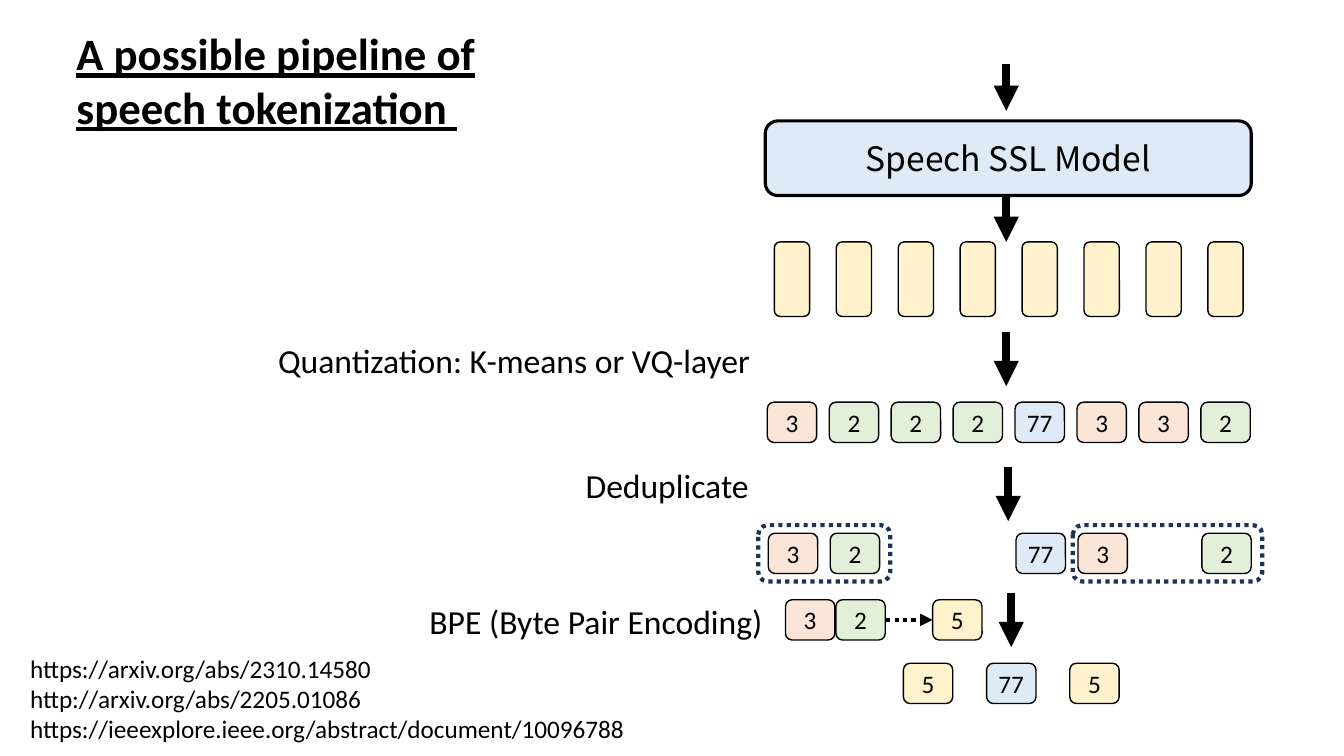
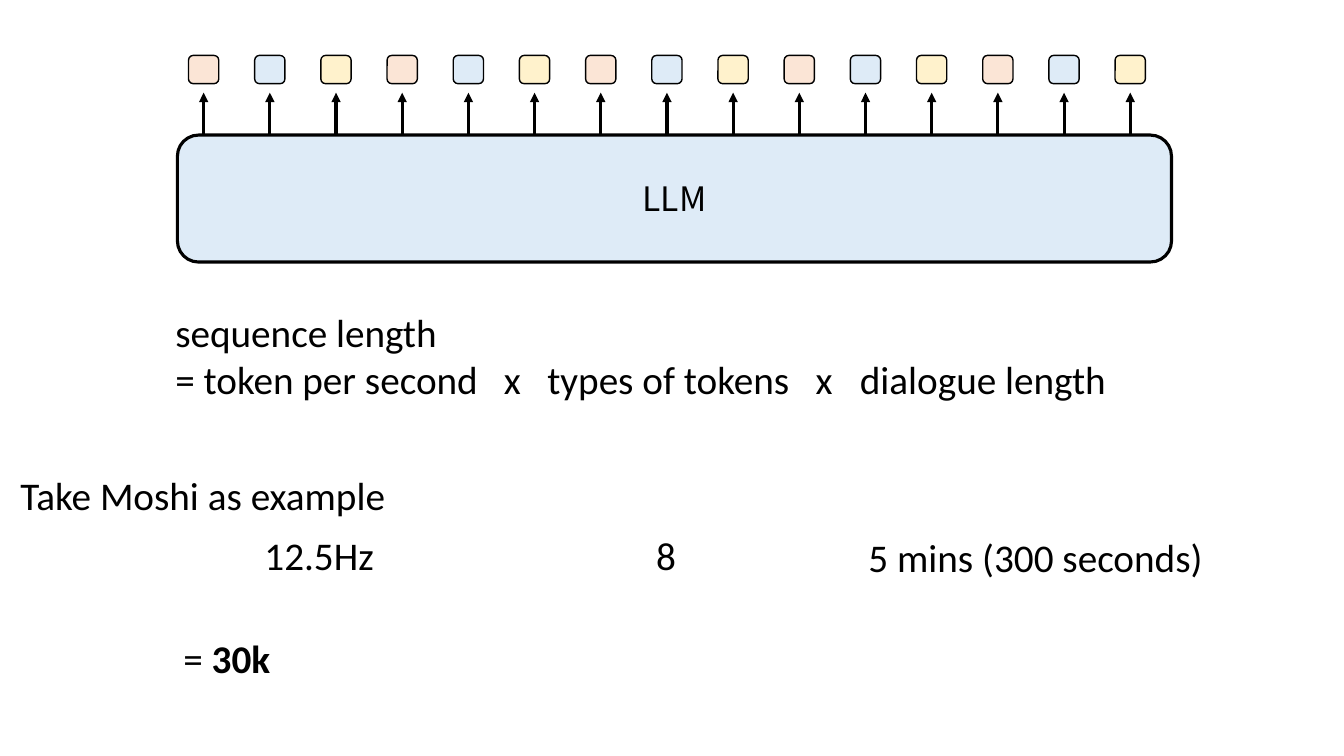
"""Build two slides on speech tokenization and sequence length."""
from dataclasses import dataclass

from lxml import etree
from pptx import Presentation
from pptx import util as u
from pptx.dml.color import RGBColor
from pptx.enum import dml, shapes, text
from pptx.oxml.ns import qn

LEFT, CENTER, RIGHT = text.PP_ALIGN.LEFT, text.PP_ALIGN.CENTER, text.PP_ALIGN.RIGHT


@dataclass(frozen=True)
class Theme:
    ink: str = "000000"
    navy: str = "1E3256"
    blue: str = "DEEBF7"
    orange: str = "FBE5D6"
    green: str = "E2F0D9"
    yellow: str = "FFF2CC"
    font: str = "Calibri"
    model_font: str = "Noto Sans CJK SC"
    title: int = 32
    formula: int = 28
    label: int = 24
    small: int = 18
    thin: float = 1
    medium: float = 2.25
    dotted: float = 3
    heavy: float = 6


T = Theme()
TOKEN_FILLS = {"3": T.orange, "2": T.green, "77": T.blue, "5": T.yellow}


def write(p, words, size=T.label, font=T.font, bold=False, underline=False):
    r = p.add_run()
    r.text = words
    r.font.size = u.Pt(size)
    r.font.name = font
    r.font.bold = bold
    r.font.underline = underline
    r.font.color.rgb = RGBColor.from_string(T.ink)


class Deck:
    def __init__(self):
        self.prs = Presentation()
        self.prs.slide_width = u.Inches(13.33)
        self.prs.slide_height = u.Inches(7.5)
        self.s = None

    def new_slide(self):
        self.s = self.prs.slides.add_slide(self.prs.slide_layouts[6])

    def label(self, x, y, w, h, *lines, align=LEFT, tabs=(), **style):
        sp = self.s.shapes.add_textbox(*map(u.Inches, (x, y, w, h)))
        tf = sp.text_frame
        tf.word_wrap = True
        tf.auto_size = text.MSO_AUTO_SIZE.SHAPE_TO_FIT_TEXT
        for i, line in enumerate(lines):
            p = tf.add_paragraph() if i else tf.paragraphs[0]
            p.alignment = align
            if "\t" in line:
                stops = etree.SubElement(p._p.get_or_add_pPr(), qn("a:tabLst"))
                for stop in tabs:
                    etree.SubElement(stops, qn("a:tab"), pos=str(u.Inches(stop)), algn="l")
            write(p, line, **style)
        return tf

    def stroke(self, line, color, width, dotted):
        line.color.rgb = RGBColor.from_string(color)
        line.width = u.Pt(width)
        if dotted:
            line.dash_style = dml.MSO_LINE.ROUND_DOT

    def box(self, x, y, w, h, fill=None, words="", line=T.ink, width=T.thin,
            dotted=False, **style):
        sp = self.s.shapes.add_shape(
            shapes.MSO_SHAPE.ROUNDED_RECTANGLE, *map(u.Inches, (x, y, w, h)))
        sp.shadow.inherit = False
        if fill:
            sp.fill.solid()
            sp.fill.fore_color.rgb = RGBColor.from_string(fill)
        else:
            sp.fill.background()
        self.stroke(sp.line, line, width, dotted)
        if words:
            tf = sp.text_frame
            tf.margin_left = tf.margin_right = 0
            tf.vertical_anchor = text.MSO_ANCHOR.MIDDLE
            p = tf.paragraphs[0]
            p.alignment = CENTER
            write(p, words, **style)

    def token(self, x, y, words):
        self.box(x, y, 0.49, 0.4, TOKEN_FILLS[words], words, size=T.small)

    def model(self, x, y, w, h, words):
        self.box(x, y, w, h, T.blue, words, width=T.medium, font=T.model_font)

    def arrow(self, x1, y1, x2, y2, width=T.heavy, dotted=False):
        c = self.s.shapes.add_connector(
            shapes.MSO_CONNECTOR.STRAIGHT, *map(u.Inches, (x1, y1, x2, y2)))
        self.stroke(c.line, T.ink, width, dotted)
        etree.SubElement(c.line._get_or_add_ln(), qn("a:tailEnd"), type="triangle")
        etree.SubElement(c._element.spPr, qn("a:effectLst"))


def pipeline_slide(deck):
    deck.new_slide()
    deck.label(0.66, 0.21, 4.21, 1.18, "A possible pipeline of speech tokenization ",
               size=T.title, bold=True, underline=True)
    deck.model(7.59, 1.2, 4.82, 0.74, "Speech SSL Model")
    deck.label(2.66, 3.32, 6.67, 0.5, "Quantization: K-means or VQ-layer")
    deck.label(5.71, 4.56, 2.02, 0.5, "Deduplicate")
    deck.label(3.4, 5.91, 4.26, 0.5, "BPE (Byte Pair Encoding)", align=RIGHT)

    step = 4.3 / 7
    for i, words in enumerate(("3", "2", "2", "2", "77", "3", "3", "2")):
        deck.box(7.68 + i * step, 2.4, 0.35, 0.74, T.yellow)
        deck.token(7.61 + i * step, 3.99, words)
    for i, words in ((0, "3"), (1, "2"), (4, "77"), (5, "3"), (7, "2")):
        deck.token(7.62 + i * step, 5.29, words)
    for x, words in ((7.79, "3"), (8.29, "2"), (9.25, "5")):
        deck.token(x, 5.95, words)
    for i, words in enumerate(("5", "77", "5")):
        deck.token(8.96 + i * 0.825, 6.58, words)

    for x, top, bottom in ((9.98, 0.64, 1.1), (9.98, 1.94, 2.4), (9.98, 3.29, 3.83),
                           (10, 4.63, 5.17), (10.03, 5.88, 6.42)):
        deck.arrow(x, top, x, bottom)
    deck.arrow(8.79, 6.15, 9.25, 6.15, T.dotted, dotted=True)
    for x, w in ((7.52, 1.31), (10.64, 1.88)):
        deck.box(x, 5.21, w, 0.56, line=T.navy, width=T.dotted, dotted=True)

    deck.label(0.2, 6.43, 6.67, 1.01,
               "https://arxiv.org/abs/2310.14580",
               "http://arxiv.org/abs/2205.01086",
               "https://ieeexplore.ieee.org/abstract/document/10096788",
               size=T.small)


def length_slide(deck):
    deck.new_slide()
    step = 9.19 / 14
    fills = (T.orange, T.blue, T.yellow)
    for i in range(15):
        x = 1.87 + i * step
        deck.box(x, 0.55, 0.3, 0.28, fills[i % 3])
        deck.arrow(x + 0.15, 1.34, x + 0.15, 0.92, T.medium)
    deck.model(1.76, 1.34, 9.86, 1.26, "LLM")

    deck.label(1.64, 3.01, 10.29, 1.04, "sequence length",
               "= token per second\tx\ttypes of tokens\tx\tdialogue length",
               tabs=(3.26, 3.69, 6.35, 6.79), size=T.formula)
    for x, y, w, words in ((0, 4.63, 4.02, "Take Moshi as example"),
                           (1.85, 5.22, 2.63, "12.5Hz"),
                           (5.29, 5.22, 2.63, "8"),
                           (8.42, 5.24, 3.7, "5 mins (300 seconds)")):
        deck.label(x, y, w, 0.57, words, align=CENTER, size=T.formula)
    tf = deck.label(1.72, 6.24, 1.49, 0.57, "= ", size=T.formula)
    write(tf.paragraphs[0], "30k", size=T.formula, bold=True)


def main():
    deck = Deck()
    pipeline_slide(deck)
    length_slide(deck)
    deck.prs.save("out.pptx")


if __name__ == "__main__":
    main()
